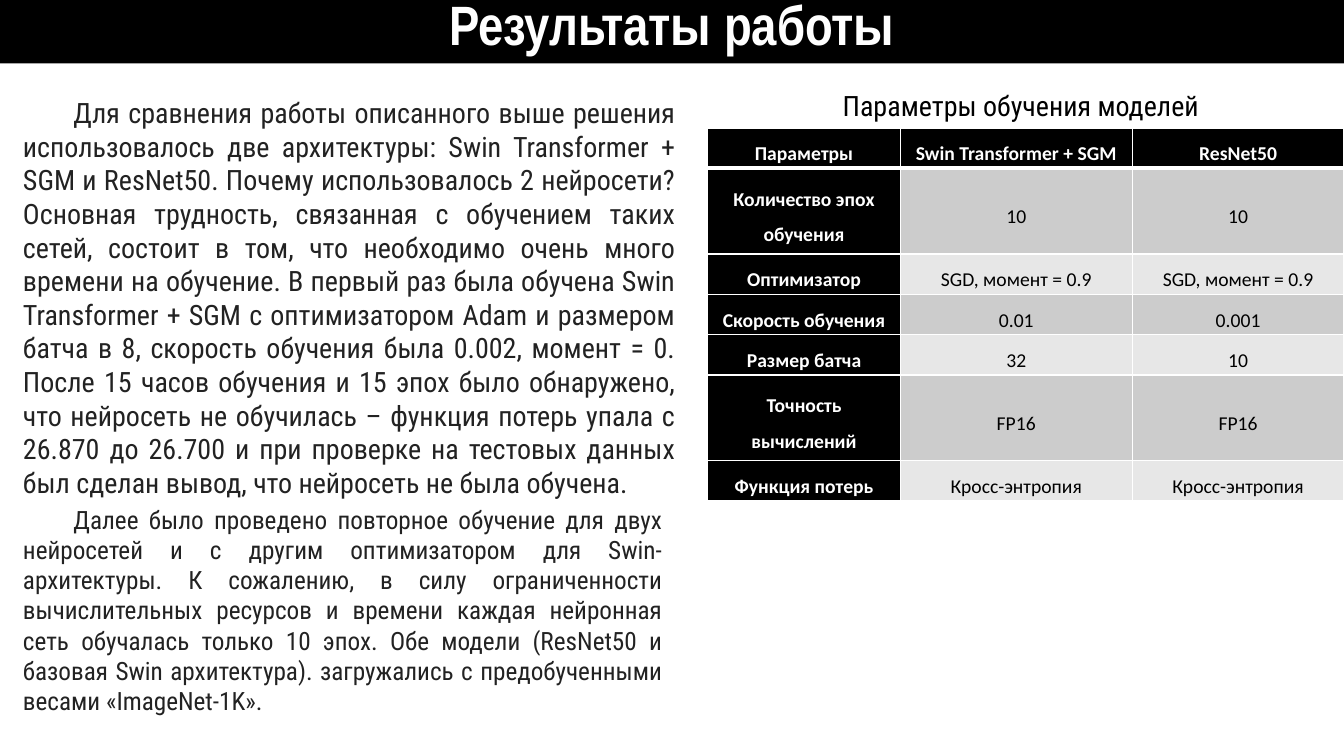
from pptx import Presentation
from pptx.dml.color import RGBColor
from pptx.enum.text import MSO_ANCHOR, MSO_AUTO_SIZE, PP_ALIGN
from pptx.oxml import parse_xml
from pptx.oxml.ns import nsdecls
from pptx.util import Inches, Pt

TITLE = "Результаты работы"
TABLE_CAPTION = "Параметры обучения моделей"
FIRST_TRAINING = (
    "Для сравнения работы описанного выше решения использовалось две архитектуры: "
    "Swin Transformer + SGM и ResNet50. Почему использовалось 2 нейросети? "
    "Основная трудность, связанная с обучением таких сетей, состоит в том, что "
    "необходимо очень много времени на обучение. В первый раз была обучена "
    "Swin Transformer + SGM с оптимизатором Adam и размером батча в 8, скорость "
    "обучения была 0.002, момент = 0. После 15 часов обучения и 15 эпох было "
    "обнаружено, что нейросеть не обучилась – функция потерь упала с 26.870 до "
    "26.700 и при проверке на тестовых данных был сделан вывод, что нейросеть "
    "не была обучена."
)
SECOND_TRAINING = (
    "Далее было проведено повторное обучение для двух нейросетей и с другим "
    "оптимизатором для Swin-архитектуры. К сожалению, в силу ограниченности "
    "вычислительных ресурсов и времени каждая нейронная сеть обучалась только "
    "10 эпох. Обе модели (ResNet50 и базовая Swin архитектура). загружались с "
    "предобученными весами «ImageNet-1K»."
)
PARAMETERS = [
    ("Параметры", "Swin Transformer + SGM", "ResNet50"),
    ("Количество эпох обучения", "10", "10"),
    ("Оптимизатор", "SGD, момент = 0.9", "SGD, момент = 0.9"),
    ("Скорость обучения", "0.01", "0.001"),
    ("Размер батча", "32", "10"),
    ("Точность вычислений", "FP16", "FP16"),
    ("Функция потерь", "Кросс-энтропия", "Кросс-энтропия"),
]
COLUMN_WIDTHS = (1.91, 2.3, 2.1)
ROW_HEIGHT, TALL_ROW_HEIGHT = 0.4, 0.85
TALL_ROWS = (1, 5)

BLACK = RGBColor(0x00, 0x00, 0x00)
WHITE = RGBColor(0xFF, 0xFF, 0xFF)
BODY_GRAY = RGBColor(0x22, 0x22, 0x22)
BAND_COLORS = (RGBColor(0xE7, 0xE7, 0xE7), RGBColor(0xCC, 0xCC, 0xCC))
CENTER, JUSTIFY = PP_ALIGN.CENTER, PP_ALIGN.JUSTIFY
MIDDLE = MSO_ANCHOR.MIDDLE
NO_AUTOFIT = MSO_AUTO_SIZE.NONE
TITLE_ONLY_LAYOUT = 5


def write_text(frame, text, *, size, font="Roboto Condensed", color=BLACK, bold=False,
               align=CENTER, line_spacing=1.0, space=0, indent=0):
    frame.word_wrap = True
    paragraph = frame.paragraphs[0]
    paragraph.alignment = align
    paragraph.line_spacing = line_spacing
    paragraph.space_before = paragraph.space_after = Pt(space)
    if indent:
        paragraph._p.get_or_add_pPr().set("indent", str(Inches(indent)))
    run = paragraph.add_run()
    run.text = text
    run.font.size = Pt(size)
    run.font.name = font
    run.font.bold = bold
    run.font.color.rgb = color


def add_text_box(slide, box, text, **text_format):
    shape = slide.shapes.add_textbox(*map(Inches, box))
    write_text(shape.text_frame, text, **text_format)


def set_borders(cell, widths):
    properties = cell._tc.get_or_add_tcPr()
    for position, (side, width) in enumerate(widths.items()):
        properties.insert(position, parse_xml(
            f'<a:ln{side} {nsdecls("a")} w="{Pt(width)}"><a:solidFill>'
            f'<a:srgbClr val="{WHITE}"/></a:solidFill></a:ln{side}>'))


def add_title(slide):
    title = slide.shapes.title
    title.left, title.top, title.width, title.height = map(Inches, (0, 0, 13.33, 0.63))
    title.fill.solid()
    title.fill.fore_color.rgb = BLACK
    title.text_frame.auto_size = NO_AUTOFIT
    title.text_frame.vertical_anchor = MIDDLE
    write_text(title.text_frame, TITLE, size=39.6, font="Arial Narrow", color=WHITE,
               bold=True, line_spacing=0.7)


def add_parameter_table(slide):
    heights = [TALL_ROW_HEIGHT if index in TALL_ROWS else ROW_HEIGHT
               for index in range(len(PARAMETERS))]
    table = slide.shapes.add_table(
        len(PARAMETERS), len(COLUMN_WIDTHS), Inches(7.02), Inches(1.27),
        Inches(sum(COLUMN_WIDTHS)), Inches(sum(heights))).table
    for column, width in zip(table.columns, COLUMN_WIDTHS):
        column.width = Inches(width)
    for row_index, (row, height, values) in enumerate(zip(table.rows, heights, PARAMETERS)):
        row.height = Inches(height)
        for column_index, (cell, value) in enumerate(zip(row.cells, values)):
            is_heading = row_index == 0 or column_index == 0
            cell.fill.solid()
            cell.fill.fore_color.rgb = BLACK if is_heading else BAND_COLORS[row_index % 2]
            cell.vertical_anchor = MIDDLE
            cell.margin_left = cell.margin_right = Inches(0.07)
            cell.margin_top = cell.margin_bottom = 0
            write_text(cell.text_frame, value, size=14, font="Calibri",
                       color=WHITE if is_heading else BLACK, bold=is_heading,
                       line_spacing=1.5, space=6)
            set_borders(cell, {"L": 1, "R": 1, "T": 3 if row_index == 1 else 1,
                               "B": 3 if row_index == 0 else 1})


def main():
    presentation = Presentation()
    presentation.slide_width = Inches(13.33)
    presentation.slide_height = Inches(7.5)
    slide = presentation.slides.add_slide(presentation.slide_layouts[TITLE_ONLY_LAYOUT])
    add_title(slide)
    add_parameter_table(slide)
    add_text_box(slide, (7.14, 0.83, 5.97, 0.44), TABLE_CAPTION, size=20)
    add_text_box(slide, (0.13, 0.9, 6.67, 3.8), FIRST_TRAINING, size=20,
                 color=BODY_GRAY, align=JUSTIFY, indent=0.5)
    add_text_box(slide, (0.13, 4.95, 6.54, 2.2), SECOND_TRAINING, size=18,
                 color=BODY_GRAY, align=JUSTIFY, indent=0.5)
    presentation.save("out.pptx")


if __name__ == "__main__":
    main()
